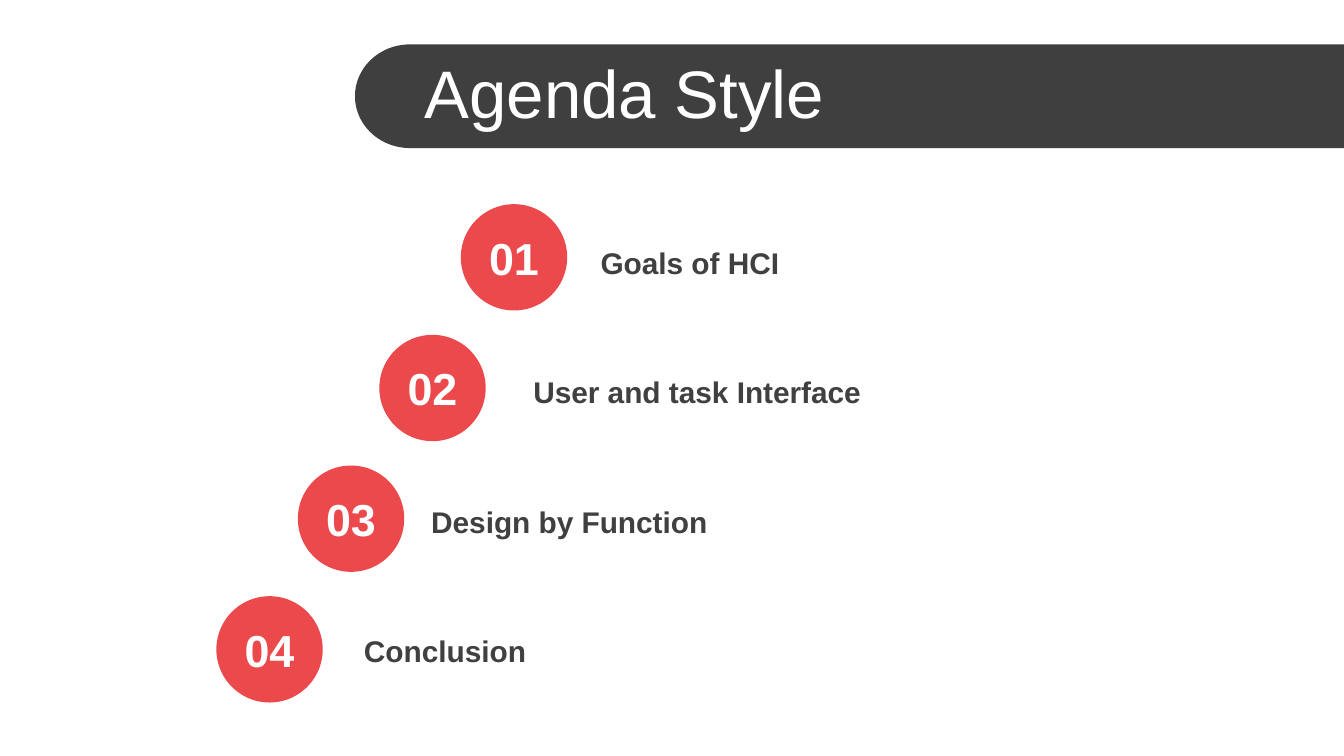
import math

import pptx
import pptx.dml.color
import pptx.enum.shapes
import pptx.enum.text
import pptx.util

Cm = pptx.util.Cm

TITLE = "Agenda Style"
# Agenda text and the left edge of its box, in cm
AGENDA = [
    ("Goals of HCI", 11.1),
    ("User and task Interface", 9.83),
    ("Design by Function", 7.9),
    ("Conclusion", 6.63),
]

THEME = {
    "font": "Arial",
    "banner": "3F3F3F",
    "circle": "EB494B",
    "title": {"size": 36, "color": "FFFFFF", "bold": False},
    "number": {"size": 24, "color": "FFFFFF", "bold": True},
    "label": {"size": 16, "color": "404040", "bold": True},
}

SLIDE_WIDTH, SLIDE_HEIGHT = 25.4, 14.29
BANNER_LEFT, BANNER_TOP, BANNER_HEIGHT, BANNER_CURVE = 6.71, 0.84, 1.96, 1.04
TITLE_BOX = (7.77, 0.94, 17.63, 1.6)
CIRCLE_LEFT, CIRCLE_TOP, CIRCLE_SIZE = 8.71, 3.86, 2.01
STEP_LEFT, STEP_DOWN = 1.54, 2.47
NUMBER_HEIGHT = 1.27
LABEL_TOP, LABEL_STEP, LABEL_WIDTH, LABEL_HEIGHT = 4.5, 2.44, 12.8, 0.94

ALIGN = pptx.enum.text.PP_ALIGN


def rgb(color):
    return pptx.dml.color.RGBColor.from_string(color)


def paint(shape, color):
    shape.fill.solid()
    shape.fill.fore_color.rgb = rgb(color)
    shape.line.fill.background()
    shape.shadow.inherit = False


def write(shape, text, style, align=ALIGN.LEFT):
    frame = shape.text_frame
    frame.text = text
    frame_format = {
        "word_wrap": True,
        "auto_size": pptx.enum.text.MSO_AUTO_SIZE.NONE,
        "vertical_anchor": pptx.enum.text.MSO_ANCHOR.MIDDLE,
    }
    for name, value in frame_format.items():
        setattr(frame, name, value)
    paragraph = frame.paragraphs[0]
    paragraph.alignment = align
    font = paragraph.runs[0].font
    font_format = {
        "name": THEME["font"],
        "size": pptx.util.Pt(style["size"]),
        "bold": style["bold"],
    }
    for name, value in font_format.items():
        setattr(font, name, value)
    font.color.rgb = rgb(style["color"])


def add_text(slide, box, text, style, align=ALIGN.LEFT):
    shape = slide.shapes.add_textbox(*map(Cm, box))
    write(shape, text, style, align)


def add_banner(slide):
    """Draw a bar that runs off to the right and has a rounded left end."""
    radius = BANNER_HEIGHT / 2
    center_x, center_y = BANNER_LEFT + BANNER_CURVE, BANNER_TOP + radius
    points = [(SLIDE_WIDTH, BANNER_TOP + BANNER_HEIGHT)]
    for degrees in range(90, 271, 3):
        angle = math.radians(degrees)
        points.append((center_x + BANNER_CURVE * math.cos(angle),
                       center_y + radius * math.sin(angle)))
    builder = slide.shapes.build_freeform(Cm(SLIDE_WIDTH), Cm(BANNER_TOP))
    builder.add_line_segments([(Cm(x), Cm(y)) for x, y in points], close=True)
    banner = builder.convert_to_shape()
    paint(banner, THEME["banner"])
    return banner


def add_title(slide, banner):
    title = slide.shapes.title
    for name, value in zip(("left", "top", "width", "height"), TITLE_BOX):
        setattr(title, name, Cm(value))
    write(title, TITLE, THEME["title"])
    banner.element.addnext(title.element)  # title in front of the banner


def add_agenda(slide):
    for index, (text, label_left) in enumerate(AGENDA):
        left = CIRCLE_LEFT - index * STEP_LEFT
        top = CIRCLE_TOP + index * STEP_DOWN
        circle = slide.shapes.add_shape(
            pptx.enum.shapes.MSO_SHAPE.OVAL,
            *map(Cm, (left, top, CIRCLE_SIZE, CIRCLE_SIZE)))
        paint(circle, THEME["circle"])
        number_top = top + (CIRCLE_SIZE - NUMBER_HEIGHT) / 2
        add_text(slide, (left, number_top, CIRCLE_SIZE, NUMBER_HEIGHT),
                 f"{index + 1:02d}", THEME["number"], ALIGN.CENTER)
        label_top = LABEL_TOP + index * LABEL_STEP
        add_text(slide, (label_left, label_top, LABEL_WIDTH, LABEL_HEIGHT),
                 text, THEME["label"])


def main():
    presentation = pptx.Presentation()
    presentation.slide_width = Cm(SLIDE_WIDTH)
    presentation.slide_height = Cm(SLIDE_HEIGHT)
    slide = presentation.slides.add_slide(presentation.slide_layouts[5])
    add_title(slide, add_banner(slide))
    add_agenda(slide)
    presentation.save("out.pptx")


if __name__ == "__main__":
    main()
